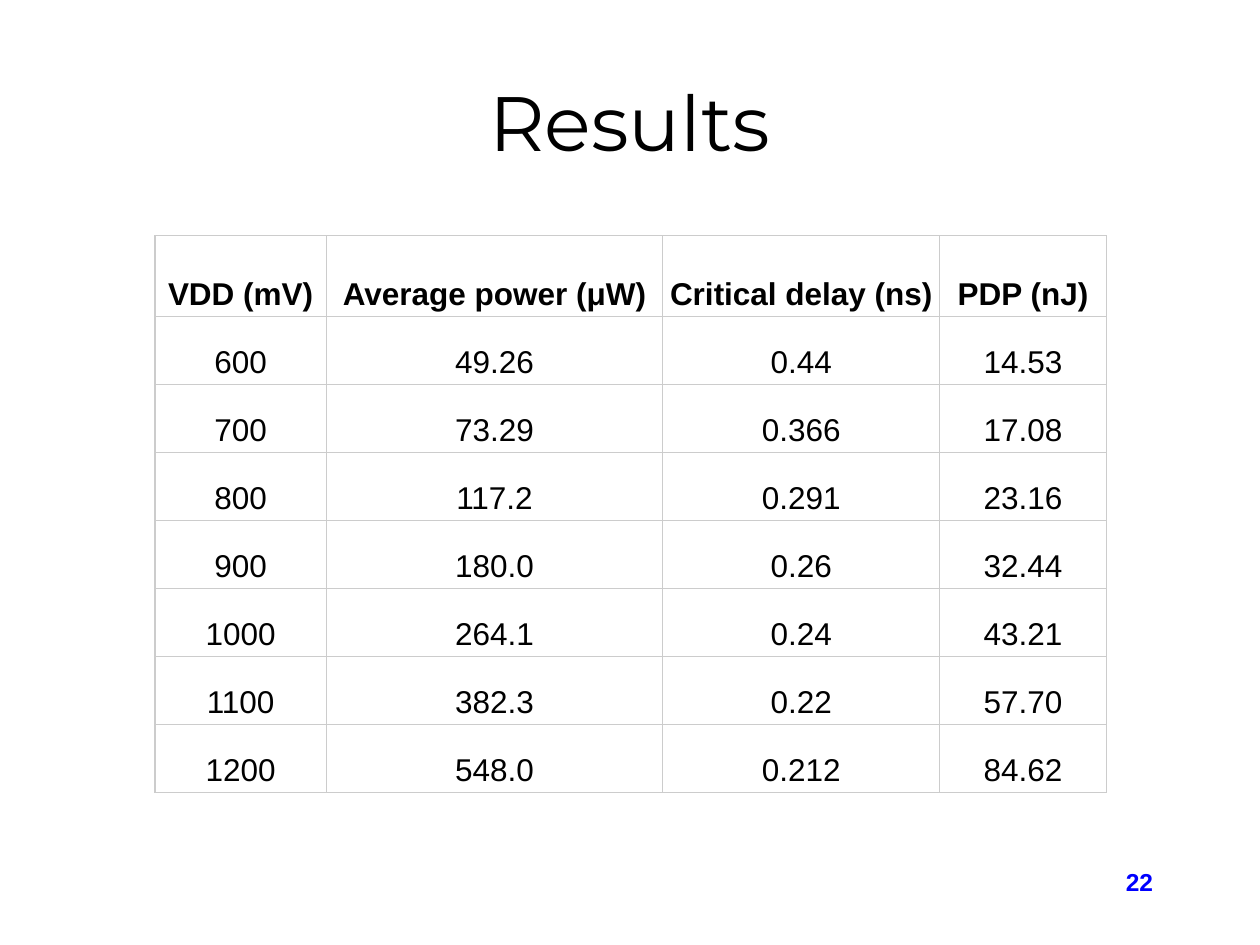
from lxml import etree
from pptx import Presentation
from pptx.dml.color import RGBColor
from pptx.enum.text import MSO_ANCHOR, PP_ALIGN
from pptx.oxml.ns import qn
from pptx.util import Inches, Pt

CENTER, RIGHT = PP_ALIGN.CENTER, PP_ALIGN.RIGHT
TOP, MIDDLE, BOTTOM = MSO_ANCHOR.TOP, MSO_ANCHOR.MIDDLE, MSO_ANCHOR.BOTTOM

# Content
TITLE = "Results"
PAGE = "22"
HEAD = ["VDD (mV)", "Average power (μW)", "Critical delay (ns)", "PDP (nJ)"]
ROWS = [
    ["600", "49.26", "0.44", "14.53"],
    ["700", "73.29", "0.366", "17.08"],
    ["800", "117.2", "0.291", "23.16"],
    ["900", "180.0", "0.26", "32.44"],
    ["1000", "264.1", "0.24", "43.21"],
    ["1100", "382.3", "0.22", "57.70"],
    ["1200", "548.0", "0.212", "84.62"],
]

# Layout in inches
LEFT, UPPER = 1.23, 1.87
WIDTHS = [1.36, 2.67, 2.2, 1.32]
HEIGHTS = [0.64] + [0.54] * len(ROWS)
INSET = 0.03
GRID = "CCCCCC"


def color(code):
    return RGBColor.from_string(code)


def style(para, align, size, face="Arial", ink="000000", bold=False):
    para.alignment = align
    font = para.font
    font.name, font.size, font.bold = face, Pt(size), bold
    font.color.rgb = color(ink)


def add_text(slide, text, box, anchor, *look):
    frame = slide.shapes.add_textbox(*map(Inches, box)).text_frame
    frame.word_wrap = True
    frame.vertical_anchor = anchor
    frame.text = text
    style(frame.paragraphs[0], *look)


def add_border(cell):
    props = cell._tc.get_or_add_tcPr()
    for spot, side in enumerate(("lnL", "lnR", "lnT", "lnB")):
        line = etree.Element(qn(f"a:{side}"), w=str(Pt(0.75)))
        fill = etree.SubElement(line, qn("a:solidFill"))
        etree.SubElement(fill, qn("a:srgbClr"), val=GRID)
        props.insert(spot, line)


def fill_cell(cell, text, bold):
    cell.fill.background()
    cell.vertical_anchor = BOTTOM
    cell.margin_left = cell.margin_right = Inches(INSET)
    cell.margin_top = cell.margin_bottom = Inches(INSET)
    cell.text = text
    para = cell.text_frame.paragraphs[0]
    style(para, CENTER, 18, bold=bold)
    para.line_spacing = 1.15
    add_border(cell)


def add_grid(slide):
    data = [HEAD] + ROWS
    box = (LEFT, UPPER, sum(WIDTHS), sum(HEIGHTS))
    table = slide.shapes.add_table(len(data), len(HEAD), *map(Inches, box)).table
    table.first_row = table.horz_banding = False
    for col, width in zip(table.columns, WIDTHS):
        col.width = Inches(width)
    for row, height in zip(table.rows, HEIGHTS):
        row.height = Inches(height)
    for r, line in enumerate(data):
        for c, text in enumerate(line):
            fill_cell(table.cell(r, c), text, r == 0)


def main():
    deck = Presentation()
    deck.slide_width, deck.slide_height = Inches(10), Inches(7.5)
    slide = deck.slides.add_slide(deck.slide_layouts[6])

    # Title, page number and results table
    add_text(slide, TITLE, (0.75, 0.58, 8.5, 0.75), MIDDLE, CENTER, 44, "Montserrat")
    add_text(slide, PAGE, (7.17, 6.83, 2.08, 0.5), TOP, RIGHT, 14, "Arial", "0000FF", True)
    add_grid(slide)

    deck.save("out.pptx")


if __name__ == "__main__":
    main()
